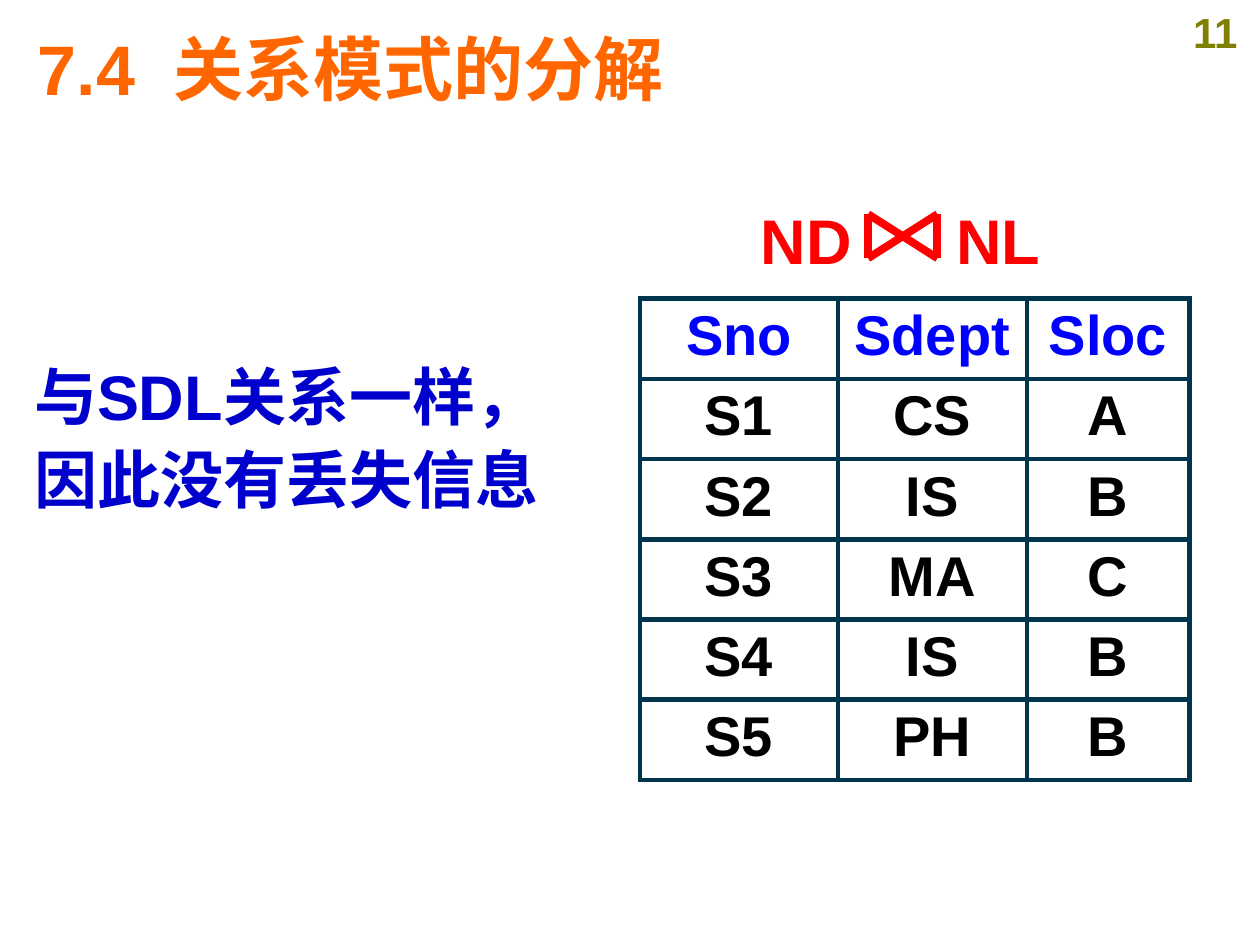
from dataclasses import dataclass

from lxml.etree import SubElement
from pptx import Presentation
from pptx.dml.color import RGBColor
from pptx.enum.shapes import MSO_CONNECTOR as Connector
from pptx.enum.text import MSO_ANCHOR as Anchor, MSO_AUTO_SIZE as AutoSize, PP_ALIGN as Align
from pptx.oxml.ns import qn
from pptx.util import Inches, Pt

CJK_FONT = "Noto Sans CJK SC"


@dataclass
class Style:
    size: int
    color: str
    font: str = "Arial"


@dataclass
class Segment:
    x1: float
    y1: float
    x2: float
    y2: float


def rgb(value: str) -> RGBColor:
    return RGBColor.from_string(value)


def add_span(para, text: str, style: Style):
    span = para.add_run()
    span.text = text
    span.font.size = Pt(style.size)
    span.font.bold = True
    span.font.name = style.font
    span.font.color.rgb = rgb(style.color)
    SubElement(span.font._element, qn("a:ea"), typeface=CJK_FONT)
    return span


def place(box, left: float, top: float, width: float, height: float) -> None:
    box.left, box.top = Inches(left), Inches(top)
    box.width, box.height = Inches(width), Inches(height)


def add_box(page, left: float, top: float, width: float, height: float):
    box = page.shapes.add_textbox(Inches(left), Inches(top), Inches(width), Inches(height))
    box.text_frame.word_wrap = True
    return box.text_frame.paragraphs[0]


def add_line(page, segment: Segment, color: str, width: float) -> None:
    line = page.shapes.add_connector(
        Connector.STRAIGHT,
        Inches(segment.x1), Inches(segment.y1), Inches(segment.x2), Inches(segment.y2),
    )
    line.line.color.rgb = rgb(color)
    line.line.width = Pt(width)
    SubElement(line._element.spPr, qn("a:effectLst"))


def add_borders(cell, color: str, width: float) -> None:
    properties = cell._tc.get_or_add_tcPr()
    for index, side in enumerate(("a:lnL", "a:lnR", "a:lnT", "a:lnB")):
        border = properties.makeelement(qn(side), {"w": str(Pt(width))})
        fill = SubElement(border, qn("a:solidFill"))
        SubElement(fill, qn("a:srgbClr"), val=color)
        properties.insert(index, border)


def add_grid(page, rows: list[list[str]], widths: list[float], left: float, top: float,
             height: float) -> None:
    frame = page.shapes.add_table(len(rows), len(widths), Inches(left), Inches(top),
                                  Inches(sum(widths)), Inches(height))
    table = frame.table
    for column, width in zip(table.columns, widths):
        column.width = Inches(width)
    for row_index, row in enumerate(rows):
        style = Style(32, "000000" if row_index else "0000FF")
        for column_index, text in enumerate(row):
            cell = table.cell(row_index, column_index)
            cell.fill.background()
            add_borders(cell, "00354E", 3)
            para = cell.text_frame.paragraphs[0]
            para.alignment = Align.CENTER
            add_span(para, text, style)


deck = Presentation()
deck.slide_width, deck.slide_height = Inches(10), Inches(7.5)
page = deck.slides.add_slide(deck.slide_layouts[1])

# Page number
para = add_box(page, 9.29, 0, 0.71, 0.5)
para.alignment = Align.CENTER
add_span(para, "11", Style(24, "808000"))

# Title, with a widened space after the section number
title = page.shapes.title
place(title, 0.2, 0.16, 9.47, 0.76)
title.text_frame.auto_size = AutoSize.NONE
title.text_frame.vertical_anchor = Anchor.MIDDLE
para = title.text_frame.paragraphs[0]
para.alignment = Align.LEFT
title_style = Style(40, "FF6600")
add_span(para, "7.4", title_style)
add_span(para, " ", title_style).font._element.set("spc", "1100")
add_span(para, "关系模式的分解", title_style)

# Conclusion
body = page.placeholders[1]
place(body, 0.17, 2.73, 4.52, 4.37)
body.text_frame.auto_size = AutoSize.NONE
para = body.text_frame.paragraphs[0]
properties = para._p.get_or_add_pPr()
properties.set("marL", "0")
properties.set("indent", "0")
SubElement(properties, qn("a:buNone"))
para.line_spacing = 1.1
para.space_before = Pt(0)
latin, chinese = Style(36, "0000CC"), Style(36, "0000CC", CJK_FONT)
for text, style in (("与", chinese), ("SDL", latin), ("关系一样，因此没有丢失信息", chinese)):
    add_span(para, text, style)

# Join expression: a tab leaves room for the bow-tie sign
para = add_box(page, 5.94, 1.55, 2.44, 0.7)
tabs = SubElement(para._p.get_or_add_pPr(), qn("a:tabLst"))
SubElement(tabs, qn("a:tab"), pos=str(Inches(1.55)), algn="l")
add_span(para, "ND\tNL", Style(36, "FF0000"))

left, right, top, bottom = 6.89, 7.44, 1.7, 2.05
for segment in (
    Segment(left, top, left, bottom),
    Segment(right, top, right, bottom),
    Segment(left, top, right, bottom),
    Segment(left, bottom, right, top),
):
    add_line(page, segment, "FF0000", 4.5)

# Result of the join
add_grid(
    page,
    [
        ["Sno", "Sdept", "Sloc"],
        ["S1", "CS", "A"],
        ["S2", "IS", "B"],
        ["S3", "MA", "C"],
        ["S4", "IS", "B"],
        ["S5", "PH", "B"],
    ],
    widths=[1.57, 1.5, 1.29], left=5.08, top=2.37, height=3.82,
)

deck.save("out.pptx")
